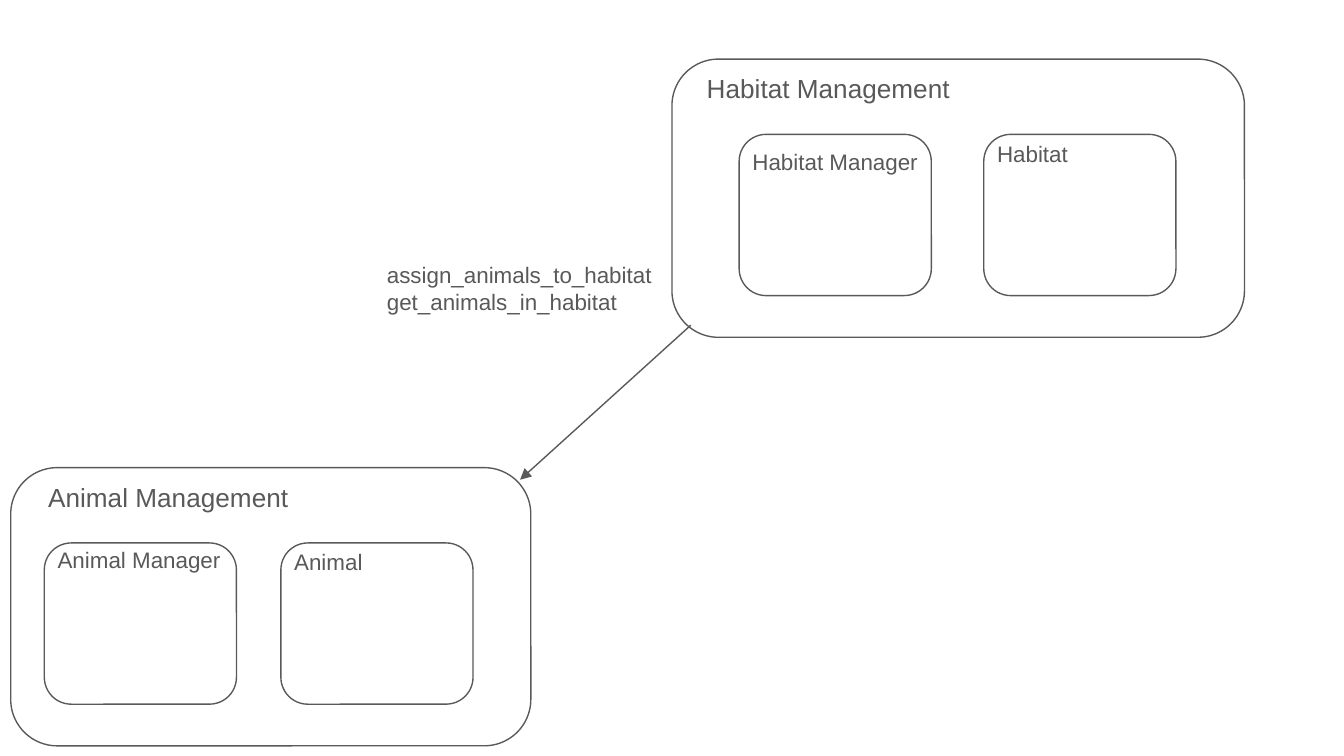
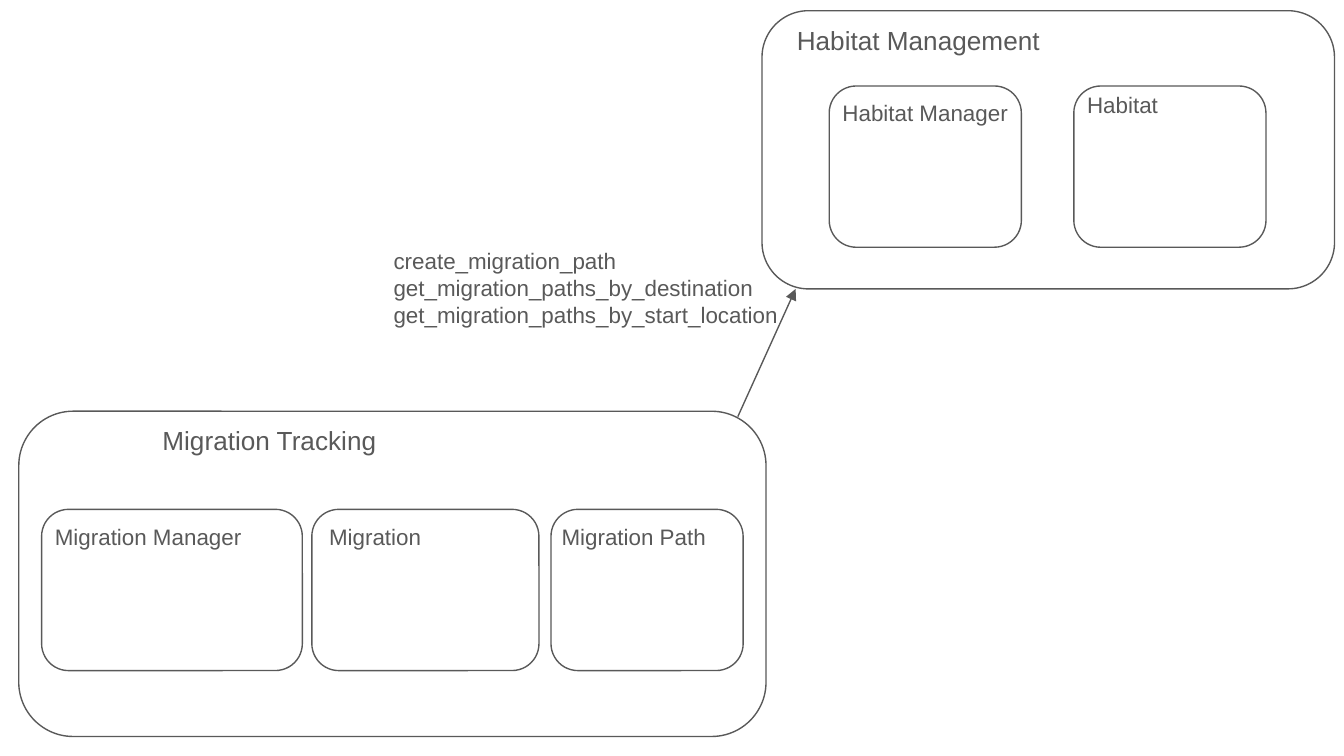
from dataclasses import dataclass

from lxml import etree
from pptx import Presentation
from pptx.dml.color import RGBColor
from pptx.enum.shapes import MSO_CONNECTOR, MSO_SHAPE
from pptx.enum.text import MSO_ANCHOR
from pptx.oxml.ns import qn
from pptx.util import Inches, Pt

ROUNDED = MSO_SHAPE.ROUNDED_RECTANGLE
STRAIGHT = MSO_CONNECTOR.STRAIGHT
TOP = MSO_ANCHOR.TOP
BLANK = 6

# Grid: 100 columns by 56.25 rows of square cells
COLS, ROWS = 100, 56.25
CELL = Inches(10) / COLS


@dataclass(frozen=True)
class Theme:
    ink: RGBColor = RGBColor(0x59, 0x59, 0x59)
    paper: RGBColor = RGBColor(0xFF, 0xFF, 0xFF)
    font: str = "Arial"
    title: int = 14
    body: int = 12
    line: float = 0.75
    corner: float = 0.167
    inset: float = 1


@dataclass(frozen=True)
class Entity:
    """A class box; all lengths are cells relative to its panel."""
    name: str
    x: float
    y: float
    w: float = 14.3
    h: float = 12
    label_dx: float = 0
    label_dy: float = 0
    label_w: float = 65.2
    label_h: float = 4


THEME = Theme()

# Classes in each module
ANIMALS = [
    Entity("Animal Manager", 2.5, 5.6, label_dy=-0.6, label_w=18.8, label_h=1.8),
    Entity("Animal", 20.1, 5.6, label_dy=-0.6),
]
HABITATS = [
    Entity("Habitat Manager", 5, 5.6),
    Entity("Habitat", 23.2, 5.6, label_dy=-0.6),
]
MIGRATIONS = [
    Entity("Migration Manager", 1.7, 7.3, w=19.4),
    Entity("Migration", 21.8, 7.3, w=16.9, label_dx=0.3),
    Entity("Migration Path", 39.6, 7.3, label_dx=-0.2),
]


def cells(*values):
    return [round(v * CELL) for v in values]


def add_text(s, text, x, y, w, h, size=THEME.body):
    tf = s.shapes.add_textbox(*cells(x, y, w, h)).text_frame
    tf.word_wrap = True
    tf.vertical_anchor = TOP
    inset, = cells(THEME.inset)
    tf.margin_left = tf.margin_right = tf.margin_top = tf.margin_bottom = inset
    for i, line in enumerate(text.split("\n")):
        p = tf.paragraphs[0] if i == 0 else tf.add_paragraph()
        r = p.add_run()
        r.text = line
        r.font.name, r.font.size = THEME.font, Pt(size)
        r.font.color.rgb = THEME.ink


def add_frame(s, x, y, w, h):
    sp = s.shapes.add_shape(ROUNDED, *cells(x, y, w, h))
    sp.adjustments[0] = THEME.corner
    sp.shadow.inherit = False
    sp.fill.solid()
    sp.fill.fore_color.rgb = THEME.paper
    sp.line.color.rgb = THEME.ink
    sp.line.width = Pt(THEME.line)


def add_arrow(s, start, end):
    cx = s.shapes.add_connector(STRAIGHT, *cells(*start, *end))
    cx.line.color.rgb = THEME.ink
    cx.line.width = Pt(THEME.line)
    etree.SubElement(cx.line._get_or_add_ln(), qn("a:tailEnd"), type="triangle")
    etree.SubElement(cx._element.spPr, qn("a:effectLst"))


def add_module(s, title, entities, x, y, w, h, title_dx):
    """Draw a module panel with its title and its class boxes."""
    add_frame(s, x, y, w, h)
    add_text(s, title, x + title_dx, y, 27.8, 3.7, size=THEME.title)
    for e in entities:
        add_frame(s, x + e.x, y + e.y, e.w, e.h)
    for e in entities:
        add_text(s, e.name, x + e.x + e.label_dx, y + e.y + e.label_dy,
                 e.label_w, e.label_h)


def add_habitat_module(s, x, y):
    add_module(s, "Habitat Management", HABITATS, x, y, 42.6, 20.7, title_dx=1.6)


def add_call(s, methods, box, start, end):
    """Draw the arrow between two modules and the methods it calls."""
    add_arrow(s, start, end)
    add_text(s, "\n".join(methods), *box)


def build_animal_slide(s):
    add_module(s, "Animal Management", ANIMALS, 0.8, 34.8, 38.7, 20.7, title_dx=1.8)
    add_habitat_module(s, 50, 4.4)
    add_call(s, ["assign_animals_to_habitat", "get_animals_in_habitat"],
             box=(27.8, 18.4, 38.1, 14.1), start=(51.4, 24.2), end=(38.7, 35.7))


def build_migration_slide(s):
    add_module(s, "Migration Tracking", MIGRATIONS, 1.4, 30.6, 55.6, 24.2, title_dx=9.7)
    add_habitat_module(s, 56.7, 0.8)
    add_call(s, ["create_migration_path", "get_migration_paths_by_destination",
                 "get_migration_paths_by_start_location"],
             box=(28.3, 17.4, 32.9, 13.6), start=(54.9, 31), end=(59.2, 21.5))


def main():
    prs = Presentation()
    prs.slide_width, prs.slide_height = cells(COLS, ROWS)
    for build in (build_animal_slide, build_migration_slide):
        build(prs.slides.add_slide(prs.slide_layouts[BLANK]))
    prs.save("out.pptx")


if __name__ == "__main__":
    main()
